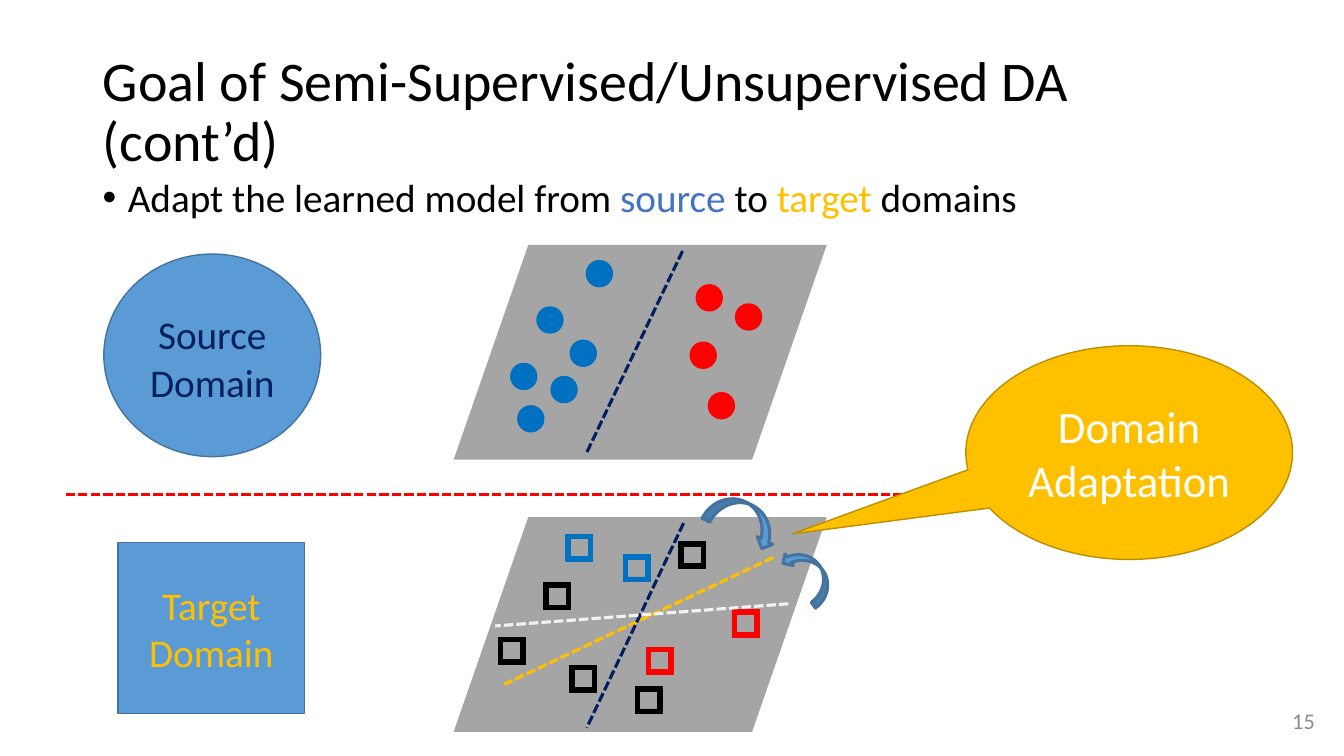
from dataclasses import dataclass

from lxml.etree import SubElement
from pptx import Presentation
from pptx.dml.color import RGBColor
from pptx.enum.dml import MSO_LINE
from pptx.enum.shapes import MSO_CONNECTOR, MSO_SHAPE
from pptx.enum.text import MSO_ANCHOR, MSO_AUTO_SIZE, PP_ALIGN
from pptx.oxml.ns import qn
from pptx.util import Pt

PX = 9144  # 100 px to the inch


@dataclass(frozen=True)
class Theme:
    font: str = "Calibri"
    title: int = 40
    callout: int = 32
    body: int = 28
    number: int = 16
    black: str = "000000"
    white: str = "FFFFFF"
    pale: str = "F2F2F2"
    grey: str = "A5A5A5"
    number_grey: str = "8C8C8C"
    navy: str = "002060"
    blue: str = "0070C0"
    word_blue: str = "4472C4"
    light_blue: str = "5B9BD5"
    blue_edge: str = "43739E"
    red: str = "FF0000"
    gold: str = "FFC000"
    gold_edge: str = "BD8E00"


THEME = Theme()

# Each paragraph is a list of runs: text, size, colour
TITLE = [[("Goal of Semi-Supervised/Unsupervised DA (cont’d)", THEME.title, THEME.black)]]
BULLET = [[(text, THEME.body, color) for text, color in (
    ("Adapt the learned model from ", THEME.black), ("source", THEME.word_blue),
    (" to ", THEME.black), ("target", THEME.gold), (" domains", THEME.black))]]
SOURCE_LABEL = [[("Source", THEME.body, THEME.navy), (" ", THEME.callout, THEME.navy),
                 ("Domain", THEME.body, THEME.navy)]]
TARGET_LABEL = [[(word, THEME.body, THEME.gold)] for word in ("Target", "Domain")]
CALLOUT_LABEL = [[(word, THEME.callout, THEME.white)] for word in ("Domain", "Adaptation")]
PAGE_NUMBER = [[("15", THEME.number, THEME.number_grey)]]

# Left and top of each sample, by class colour
SOURCE_SAMPLES = {
    THEME.blue: [(583, 260), (534, 306), (567, 339), (508, 362), (548, 375), (515, 404)],
    THEME.red: [(692, 284), (731, 303), (686, 341), (704, 391)],
}
TARGET_SAMPLES = {
    THEME.black: [(494, 632), (565, 660), (673, 537), (539, 578), (630, 681)],
    THEME.red: [(726, 605), (641, 642)],
    THEME.blue: [(561, 530), (618, 550)],
}
DOT, FRAME = 23, 27
PLANE_LEFT, PLANE_WIDTH, PLANE_HEIGHT = 450, 370, 213
SOURCE_TOP, TARGET_TOP = 243, 513


def px(*lengths):
    return [length * PX for length in lengths]


def add_text(shape, paragraphs, align=PP_ALIGN.CENTER, anchor=MSO_ANCHOR.MIDDLE):
    frame = shape.text_frame
    frame.word_wrap = True
    frame.auto_size = MSO_AUTO_SIZE.NONE
    frame.vertical_anchor = anchor
    for index, runs in enumerate(paragraphs):
        paragraph = frame.add_paragraph() if index else frame.paragraphs[0]
        paragraph.alignment = align
        for text, size, color in runs:
            run = paragraph.add_run()
            run.text = text
            run.font.name = THEME.font
            run.font.size = Pt(size)
            run.font.color.rgb = RGBColor.from_string(color)
    return frame


def add_shape(shapes, kind, box, fill, edge=None, weight=1, adjustments=()):
    shape = shapes.add_shape(kind, *px(*box))
    shape.shadow.inherit = False
    shape.fill.solid()
    shape.fill.fore_color.rgb = RGBColor.from_string(fill)
    if edge:
        shape.line.color.rgb = RGBColor.from_string(edge)
        shape.line.width = Pt(weight)
    else:
        shape.line.fill.background()
    for index, value in enumerate(adjustments):
        shape.adjustments[index] = value
    return shape


def add_dashed_line(shapes, ends, color):
    line = shapes.add_connector(MSO_CONNECTOR.STRAIGHT, *px(*ends))
    line.line.color.rgb = RGBColor.from_string(color)
    line.line.width = Pt(2.25)
    line.line.dash_style = MSO_LINE.SQUARE_DOT
    SubElement(line._element.spPr, qn("a:effectLst"))


def add_plane(shapes, top):
    """Add a group that starts with the grey feature plane and return its shapes."""
    group = shapes.add_group_shape().shapes
    add_shape(group, MSO_SHAPE.FLOWCHART_DATA,
              (PLANE_LEFT, top, PLANE_WIDTH, PLANE_HEIGHT), THEME.grey)
    return group


def add_samples(shapes, samples, kind, size, weight, adjustments=()):
    for color, places in samples.items():
        for left, top in places:
            add_shape(shapes, kind, (left, top, size, size), color, color, weight, adjustments)


def add_turn_arrow(shapes, box, rotation):
    arrow = add_shape(shapes, MSO_SHAPE.CURVED_DOWN_ARROW, box,
                      THEME.light_blue, THEME.blue_edge, 2.25)
    arrow.rotation = rotation
    return arrow


def add_headings(slide):
    title = slide.shapes.title
    title.left, title.top, title.width, title.height = px(92, 40, 1150, 145)
    add_text(title, TITLE, PP_ALIGN.LEFT).paragraphs[0].line_spacing = 0.9

    body = slide.shapes.add_textbox(*px(92, 172, 1094, 60))
    paragraph = add_text(body, BULLET, PP_ALIGN.LEFT, MSO_ANCHOR.TOP).paragraphs[0]
    paragraph.line_spacing = 0.9
    properties = paragraph._p.get_or_add_pPr()
    properties.set("marL", str(25 * PX))
    properties.set("indent", str(-25 * PX))
    SubElement(properties, qn("a:buFont"), typeface="Arial")
    SubElement(properties, qn("a:buChar"), char="•")

    number = slide.shapes.add_textbox(*px(1014, 695, 300, 40))
    add_text(number, PAGE_NUMBER, PP_ALIGN.RIGHT)


def add_target(shapes):
    plane = add_plane(shapes, TARGET_TOP)
    add_dashed_line(plane, (767, 553, 500, 679), THEME.gold)
    square = add_shape(shapes, MSO_SHAPE.RECTANGLE, (117, 538, 185, 170),
                       THEME.light_blue, THEME.blue_edge)
    add_text(square, TARGET_LABEL)
    add_samples(shapes, TARGET_SAMPLES, MSO_SHAPE.FRAME, FRAME, 0.5, (0.17,))
    add_dashed_line(shapes, (678, 519, 582, 722), THEME.navy)
    add_turn_arrow(shapes, (700, 499, 75, 34), 26.9)
    add_dashed_line(shapes, (782, 599, 491, 621), THEME.pale)
    mirrored = add_turn_arrow(shapes, (771, 556, 62, 28), 54.1)
    mirrored._element.spPr.find(qn("a:xfrm")).set("flipH", "1")


def add_source(shapes):
    circle = add_shape(shapes, MSO_SHAPE.OVAL, (103, 252, 215, 201),
                       THEME.light_blue, THEME.blue_edge)
    add_text(circle, SOURCE_LABEL)
    plane = add_plane(shapes, SOURCE_TOP)
    add_dashed_line(plane, (677, 249, 581, 451), THEME.navy)
    add_samples(plane, SOURCE_SAMPLES, MSO_SHAPE.FLOWCHART_CONNECTOR, DOT, 3)


def main():
    presentation = Presentation()
    presentation.slide_width, presentation.slide_height = px(1333, 750)
    slide = presentation.slides.add_slide(presentation.slide_layouts[5])
    shapes = slide.shapes
    add_headings(slide)
    add_dashed_line(shapes, (65, 491, 1215, 491), THEME.red)
    add_target(shapes)
    callout = add_shape(shapes, MSO_SHAPE.OVAL_CALLOUT, (958, 343, 324, 212),
                        THEME.gold, THEME.gold_edge, adjustments=(-1.03, 0.38))
    add_text(callout, CALLOUT_LABEL)
    add_source(shapes)
    presentation.save("out.pptx")


if __name__ == "__main__":
    main()
